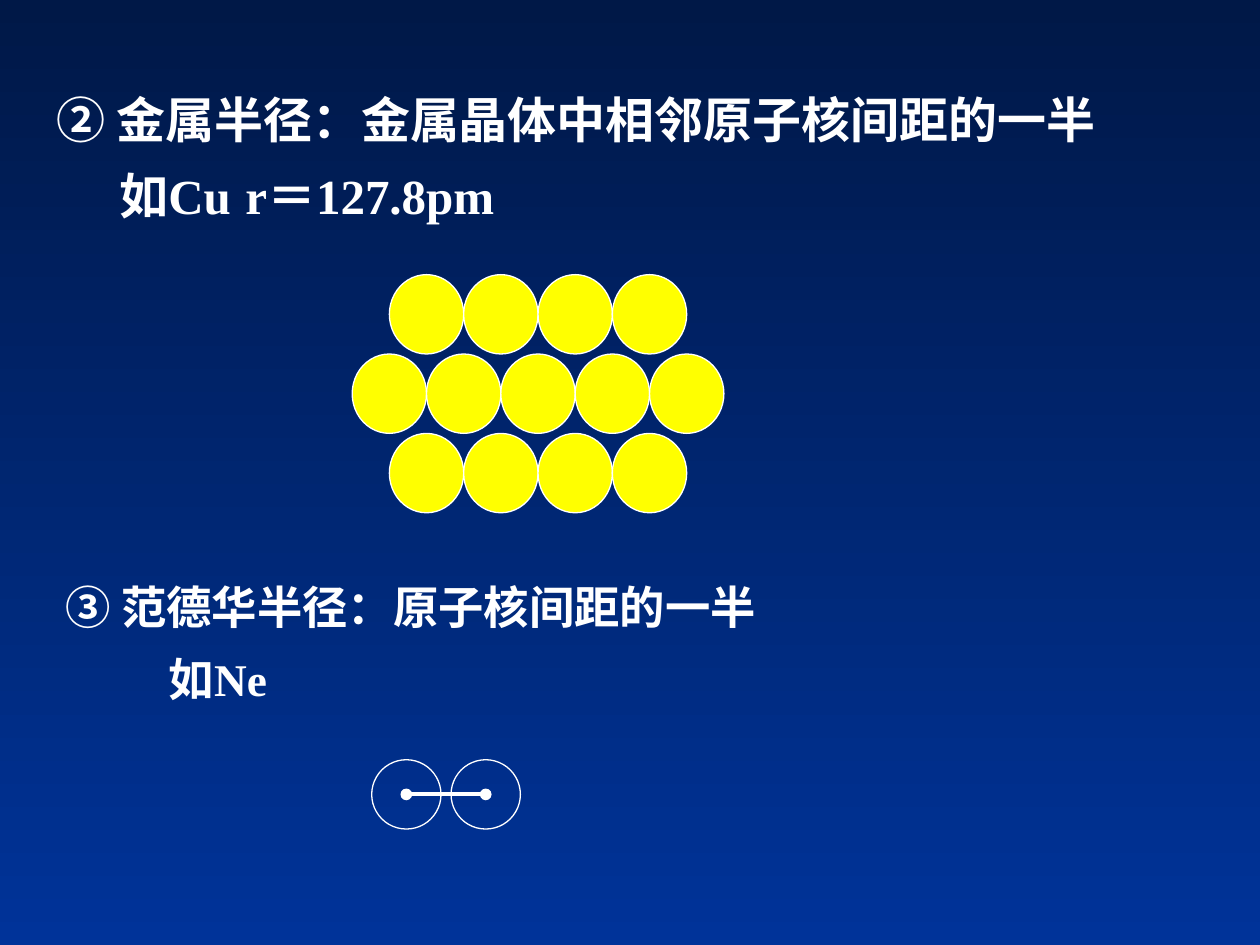
from lxml.etree import SubElement
from pptx import Presentation
from pptx.dml.color import RGBColor
from pptx.enum.shapes import MSO_CONNECTOR, MSO_SHAPE
from pptx.enum.text import MSO_ANCHOR, MSO_AUTO_SIZE
from pptx.oxml.ns import qn
from pptx.util import Inches, Pt

WHITE = RGBColor(0xFF, 0xFF, 0xFF)
YELLOW = RGBColor(0xFF, 0xFF, 0x00)
NAVY = RGBColor(0x00, 0x18, 0x47)
BLUE = RGBColor(0x00, 0x33, 0x99)
CJK, LATIN = "Noto Sans CJK SC", "Times New Roman"

# Each line: text, Latin font, left margin, first-line indent, tab stops
METALLIC_LINES = [
    ("② 金属半径：金属晶体中相邻原子核间距的一半", CJK, 0, 0, ()),
    ("\t如Cu\tr＝127.8pm", LATIN, 0, 0, (1.41, 4.33)),
]
VAN_DER_WAALS_LINES = [
    ("③ 范德华半径：原子核间距的一半", CJK, 0.38, -0.38, ()),
    ("如Ne", LATIN, 0.82, 0, ()),
]
CRYSTAL_ROWS = (4, 5, 4)
CRYSTAL_CENTER, CRYSTAL_TOP = 4.27, 2.18
COPPER_WIDTH, COPPER_HEIGHT = 0.59, 0.63
NEON_LEFTS, NEON_TOP, NEON_SIZE = (2.95, 3.58), 6.03, 0.55


def write_lines(frame, lines, size, spacing, gap):
    frame.word_wrap = True
    frame.auto_size = MSO_AUTO_SIZE.NONE
    frame.vertical_anchor = MSO_ANCHOR.TOP
    for index, (text, latin, margin, indent, tabs) in enumerate(lines):
        paragraph = frame.add_paragraph() if index else frame.paragraphs[0]
        paragraph.line_spacing = spacing
        paragraph.space_before = Pt(gap if index else 0)
        properties = paragraph._p.get_or_add_pPr()
        properties.set("marL", str(Inches(margin)))
        properties.set("indent", str(Inches(indent)))
        SubElement(properties, qn("a:buNone"))
        if tabs:
            tab_list = SubElement(properties, qn("a:tabLst"))
            for position in tabs:
                SubElement(tab_list, qn("a:tab"), pos=str(Inches(position)), algn="l")
        run = paragraph.add_run()
        run.text = text
        run.font.size = Pt(size)
        run.font.bold = True
        run.font.color.rgb = WHITE
        run.font.name = latin
        SubElement(run._r.get_or_add_rPr(), qn("a:ea"), typeface=CJK)


def add_atom(group, left, top, width, height, color=None):
    atom = group.shapes.add_shape(
        MSO_SHAPE.OVAL, Inches(left), Inches(top), Inches(width), Inches(height))
    atom.shadow.inherit = False
    if color is None:
        atom.fill.background()
    else:
        atom.fill.solid()
        atom.fill.fore_color.rgb = color
    atom.line.color.rgb = WHITE
    atom.line.width = Pt(0.75)


def add_nuclear_distance(group):
    """Join the two neon nuclei with a line that has a dot at each end."""
    radius = NEON_SIZE / 2
    start, end = (Inches(left + radius) for left in NEON_LEFTS)
    height = Inches(NEON_TOP + radius)
    distance = group.shapes.add_connector(
        MSO_CONNECTOR.STRAIGHT, start, height, end, height)
    distance.line.color.rgb = WHITE
    distance.line.width = Pt(2.25)
    outline = distance.line._get_or_add_ln()
    for tag in ("a:headEnd", "a:tailEnd"):
        SubElement(outline, qn(tag), type="oval")
    SubElement(distance._element.spPr, qn("a:effectLst"))


def main():
    deck = Presentation()
    deck.slide_width, deck.slide_height = Inches(10), Inches(7.5)
    slide = deck.slides.add_slide(deck.slide_layouts[1])
    title = slide.shapes.title._element
    title.getparent().remove(title)

    background = slide.background.fill
    background.gradient()
    background.gradient_angle = 270
    for stop, color in zip(background.gradient_stops, (NAVY, BLUE)):
        stop.color.rgb = color

    body = slide.placeholders[1]
    body.left, body.top = Inches(0.42), Inches(4.5)
    body.width, body.height = Inches(6.93), Inches(1.18)
    write_lines(body.text_frame, VAN_DER_WAALS_LINES, 25.9, 1.1, 7)

    neon = slide.shapes.add_group_shape()
    for left in NEON_LEFTS:
        add_atom(neon, left, NEON_TOP, NEON_SIZE, NEON_SIZE)
    add_nuclear_distance(neon)

    crystal = slide.shapes.add_group_shape()
    for row, count in enumerate(CRYSTAL_ROWS):
        row_left = CRYSTAL_CENTER - count * COPPER_WIDTH / 2
        for column in range(count):
            add_atom(crystal, row_left + column * COPPER_WIDTH,
                     CRYSTAL_TOP + row * COPPER_HEIGHT,
                     COPPER_WIDTH, COPPER_HEIGHT, YELLOW)

    metallic = slide.shapes.add_textbox(
        Inches(0.35), Inches(0.52), Inches(8.9), Inches(1.32))
    write_lines(metallic.text_frame, METALLIC_LINES, 28, 1.3, 0)

    deck.save("out.pptx")


if __name__ == "__main__":
    main()
